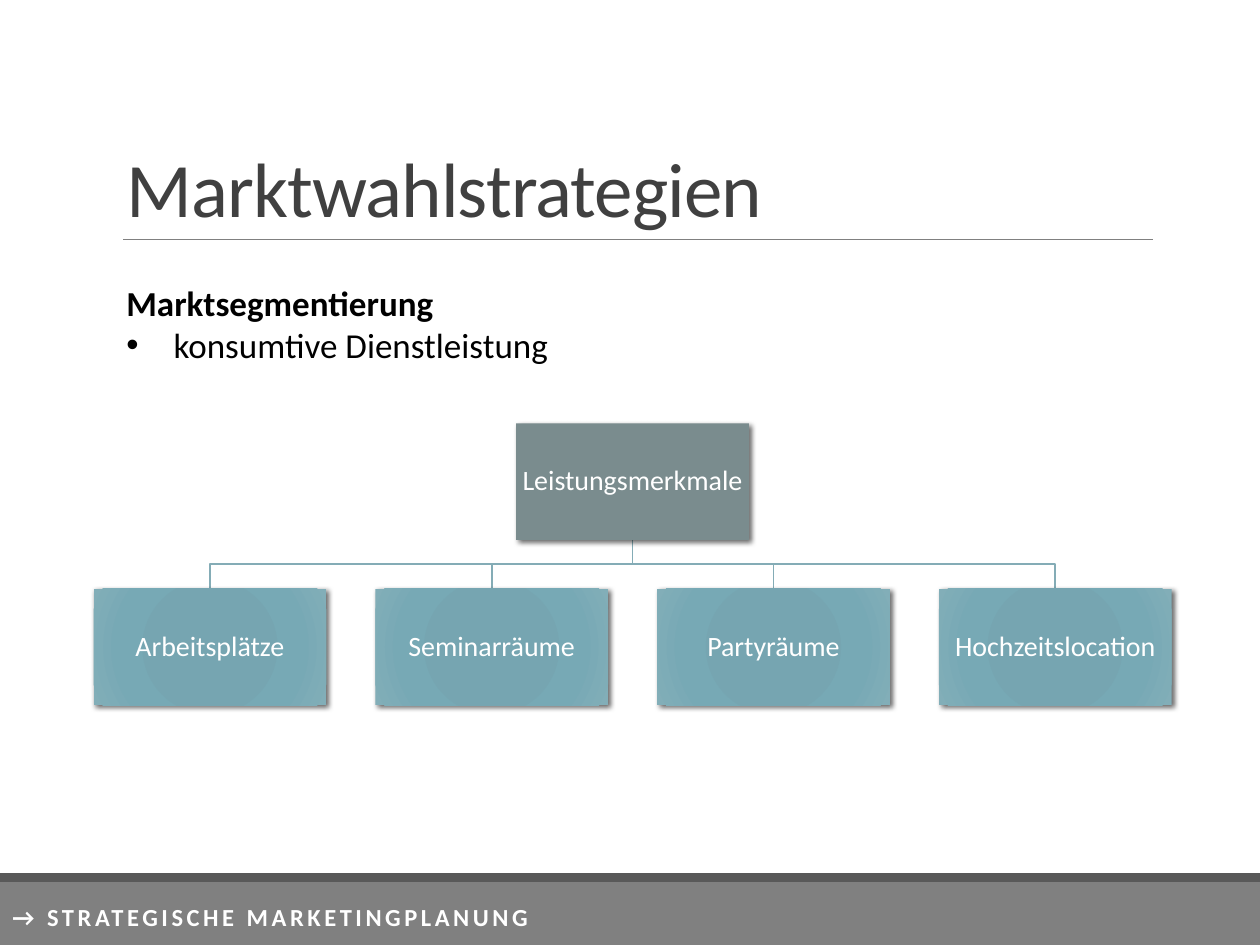
from lxml.etree import SubElement
from pptx import Presentation
from pptx.dml.color import RGBColor
from pptx.enum.shapes import MSO_CONNECTOR, MSO_SHAPE
from pptx.enum.text import MSO_ANCHOR as ANCHOR, MSO_AUTO_SIZE as AUTO, PP_ALIGN as ALIGN
from pptx.oxml import parse_xml
from pptx.oxml.ns import nsdecls, qn
from pptx.util import Pt

# Content
TITLE = "Marktwahlstrategien"
HEADING = "Marktsegmentierung"
BULLET = "konsumtive Dienstleistung"
ROOT = "Leistungsmerkmale"
LEAVES = ["Arbeitsplätze", "Seminarräume", "Partyräume", "Hochzeitslocation"]
FOOTER = "→ STRATEGISCHE MARKETINGPLANUNG"

THEME = {
    "font": "Calibri",
    "bar": "808080", "bar_edge": "595959", "rule": "808080",
    "root": "7A8C8E", "tree_line": "84ACB6",
    "leaf": [(0, "74A4B1"), (34, "76A5B1"), (70, "77A9B5"), (100, "82AEB8")],
    "title": dict(size=44, color="404040", spacing=-0.5),
    "heading": dict(size=20, color="000000", bold=True),
    "bullet": dict(size=20, color="000000", bold=False),
    "node": dict(size=16, color="FFFFFF"),
    "footer": dict(size=14, color="FFFFFF", bold=True, spacing=2),
}

# Layout in points
SLIDE_W, SLIDE_H = 720, 540
BOX_W, BOX_H = 133, 66.5
LEAF_LEFT, LEAF_STEP = 53.5, 161
ROOT_TOP, LEAF_TOP = 242, 336.5
BAR_TOP, EDGE_H = 504, 5


def place(sp, x, y, w, h):
    sp.left, sp.top, sp.width, sp.height = Pt(x), Pt(y), Pt(w), Pt(h)


def write(p, text, style, **para):
    for name, value in para.items():
        setattr(p, name, value)
    r = p.add_run()
    r.text = text
    look = THEME[style]
    font = {"name": THEME["font"], "size": Pt(look["size"]), "bold": look.get("bold", False)}
    for name, value in font.items():
        setattr(r.font, name, value)
    r.font.color.rgb = RGBColor.from_string(look["color"])
    if "spacing" in look:
        r.font._element.set("spc", str(int(look["spacing"] * 100)))


def set_bullet(p, char=None, indent=0):
    pPr = p._p.get_or_add_pPr()
    pPr.set("marL", str(Pt(indent)))
    pPr.set("indent", str(Pt(-indent)))
    if char:
        SubElement(pPr, qn("a:buFont"), typeface="Arial")
        SubElement(pPr, qn("a:buChar"), char=char)
    else:
        SubElement(pPr, qn("a:buNone"))


def add_rect(s, x, y, w, h, color):
    sp = s.shapes.add_shape(MSO_SHAPE.RECTANGLE, Pt(x), Pt(y), Pt(w), Pt(h))
    sp.shadow.inherit = False
    sp.fill.solid()
    sp.fill.fore_color.rgb = RGBColor.from_string(color)
    sp.line.fill.background()
    return sp


def set_radial_fill(sp, stops):
    gs = "".join(f'<a:gs pos="{pos * 1000}"><a:srgbClr val="{c}"/></a:gs>' for pos, c in stops)
    grad = parse_xml(
        f'<a:gradFill {nsdecls("a")} rotWithShape="1"><a:gsLst>{gs}</a:gsLst><a:path path="circle">'
        '<a:fillToRect l="100000" t="100000" r="100000" b="100000"/></a:path></a:gradFill>')
    spPr = sp._element.spPr
    spPr.replace(spPr.find(qn("a:solidFill")), grad)


def add_node(s, x, y, text, color):
    sp = add_rect(s, x, y, BOX_W, BOX_H, color)
    sp._element.spPr.find(qn("a:effectLst")).append(parse_xml(
        f'<a:outerShdw {nsdecls("a")} blurRad="{Pt(3)}" dist="{Pt(2)}" dir="2700000" rotWithShape="0">'
        '<a:srgbClr val="000000"><a:alpha val="60000"/></a:srgbClr></a:outerShdw>'))
    tf = sp.text_frame
    tf.word_wrap, tf.vertical_anchor = True, ANCHOR.MIDDLE
    for side in ("left", "top", "right", "bottom"):
        setattr(tf, f"margin_{side}", Pt(0.8))
    write(tf.paragraphs[0], text, "node", alignment=ALIGN.CENTER, line_spacing=0.9)
    return sp


def add_branch(s, x1, y1, x2, y2):
    mid = (y1 + y2) / 2
    points = [(Pt(x), Pt(y)) for x, y in [(x1, mid), (x2, mid), (x2, y2)]]
    fb = s.shapes.build_freeform(Pt(x1), Pt(y1))
    fb.add_line_segments(points, close=False)
    sp = fb.convert_to_shape()
    sp.shadow.inherit = False
    sp.fill.background()
    sp.line.color.rgb = RGBColor.from_string(THEME["tree_line"])
    sp.line.width = Pt(1)


def main():
    prs = Presentation()
    prs.slide_width, prs.slide_height = Pt(SLIDE_W), Pt(SLIDE_H)
    s = prs.slides.add_slide(prs.slide_layouts[1])

    # Title and rule
    title, body = s.placeholders
    place(title, 65, 22.5, 594, 114.5)
    tf = title.text_frame
    tf.vertical_anchor, tf.auto_size = ANCHOR.BOTTOM, AUTO.NONE
    write(tf.paragraphs[0], TITLE, "title", alignment=ALIGN.LEFT, line_spacing=0.85)
    rule = s.shapes.add_connector(MSO_CONNECTOR.STRAIGHT, Pt(70.5), Pt(137), Pt(659), Pt(137))
    rule.line.color.rgb = RGBColor.from_string(THEME["rule"])
    rule.line.width = Pt(0.5)
    SubElement(rule._element.spPr, qn("a:effectLst"))

    # Heading and bullet
    place(body, 65, 157, 594, 99)
    tf = body.text_frame
    tf.auto_size = AUTO.NONE
    heading, item = tf.paragraphs[0], tf.add_paragraph()
    set_bullet(heading)
    set_bullet(item, "•", 27)
    write(heading, HEADING, "heading", space_before=Pt(0))
    write(item, BULLET, "bullet", space_before=Pt(0))

    # Tree: branches behind the boxes
    lefts = [LEAF_LEFT + i * LEAF_STEP for i in range(len(LEAVES))]
    root_left = (lefts[0] + lefts[-1]) / 2
    for x in lefts:
        add_branch(s, root_left + BOX_W / 2, ROOT_TOP + BOX_H, x + BOX_W / 2, LEAF_TOP)
    add_node(s, root_left, ROOT_TOP, ROOT, THEME["root"])
    for x, text in zip(lefts, LEAVES):
        leaf = add_node(s, x, LEAF_TOP, text, THEME["leaf"][0][1])
        set_radial_fill(leaf, THEME["leaf"])

    # Footer
    add_rect(s, 0, BAR_TOP, SLIDE_W, SLIDE_H - BAR_TOP, THEME["bar"])
    add_rect(s, 0, BAR_TOP - EDGE_H, SLIDE_W, EDGE_H, THEME["bar_edge"])
    tf = s.shapes.add_textbox(Pt(0), Pt(514), Pt(SLIDE_W), Pt(26)).text_frame
    tf.word_wrap = True
    write(tf.paragraphs[0], FOOTER, "footer", line_spacing=0.9)

    prs.save("out.pptx")


if __name__ == "__main__":
    main()
